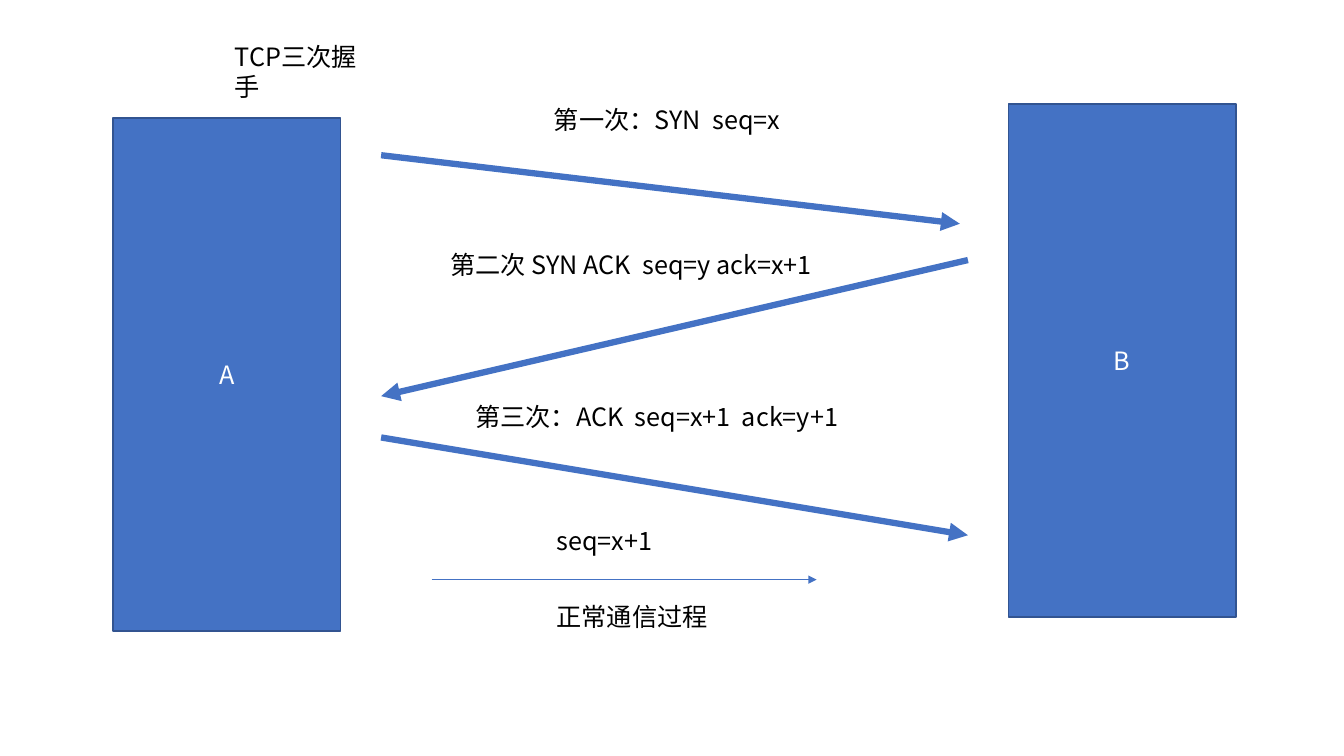
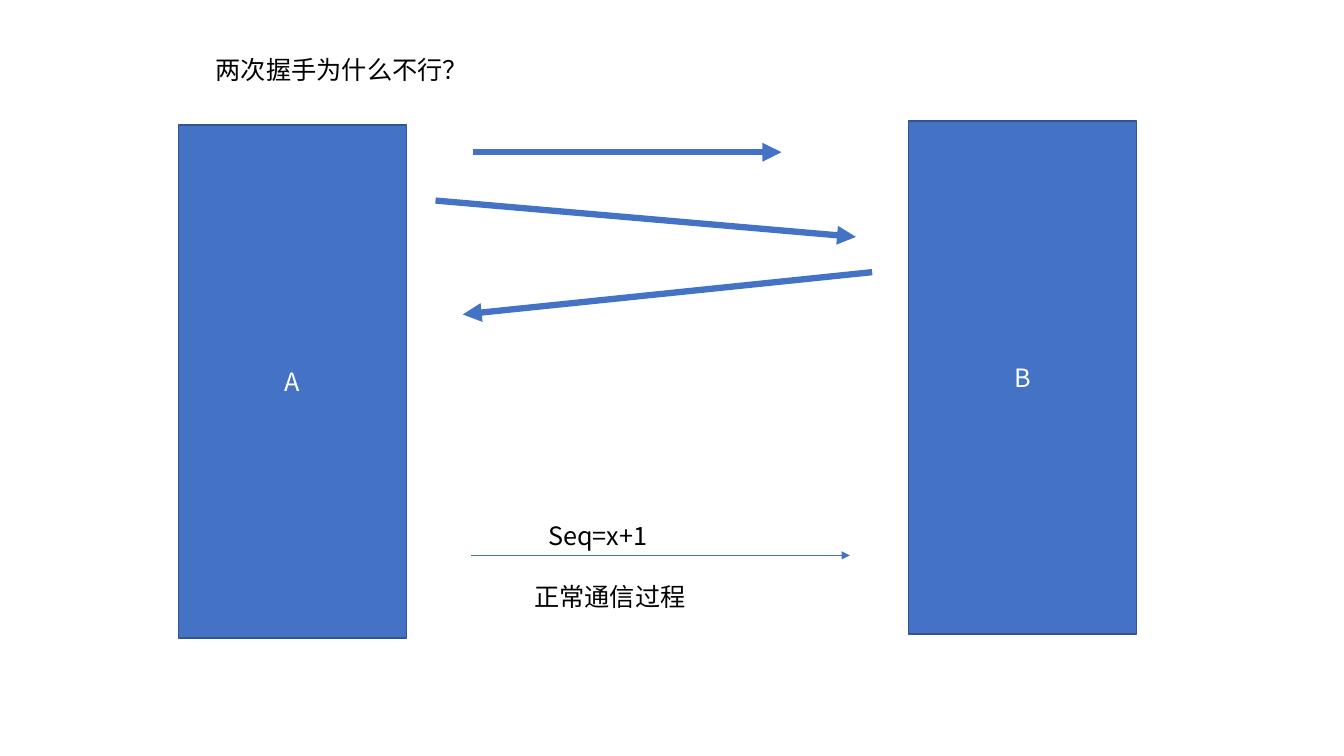
from lxml import etree
from pptx import Presentation
from pptx.dml.color import RGBColor
from pptx.enum.shapes import MSO_CONNECTOR, MSO_SHAPE
from pptx.enum.text import MSO_ANCHOR, MSO_AUTO_SIZE, PP_ALIGN
from pptx.oxml.ns import qn
from pptx.util import Inches, Pt

BLUE = RGBColor(0x44, 0x72, 0xC4)
EDGE = RGBColor(0x32, 0x54, 0x91)
WHITE = RGBColor(0xFF, 0xFF, 0xFF)
BLACK = RGBColor(0x00, 0x00, 0x00)
FONT = "Noto Sans CJK SC"
TEXT_SIZE = Pt(18)
HOST_WIDTH, HOST_HEIGHT = 2.26, 5.09
LABEL_HEIGHT = 0.4
THICK, THIN = 4.5, 0.5
TITLE_ONLY = 5
RECTANGLE = MSO_SHAPE.RECTANGLE
STRAIGHT = MSO_CONNECTOR.STRAIGHT
LEFT, CENTER = PP_ALIGN.LEFT, PP_ALIGN.CENTER
TOP, MIDDLE = MSO_ANCHOR.TOP, MSO_ANCHOR.MIDDLE
GROW = MSO_AUTO_SIZE.SHAPE_TO_FIT_TEXT


class HandshakeDeck:
    def __init__(self):
        self.presentation = Presentation()
        self.presentation.slide_width = Inches(13.33)
        self.presentation.slide_height = Inches(7.5)
        self.slide = None

    def set_text(self, shape, text, color=BLACK, align=LEFT, anchor=TOP):
        frame = shape.text_frame
        frame.text = text
        frame.word_wrap = True
        frame.vertical_anchor = anchor
        paragraph = frame.paragraphs[0]
        paragraph.alignment = align
        for run in paragraph.runs:
            run.font.name = FONT
            run.font.size = TEXT_SIZE
            run.font.color.rgb = color
            east_asian = etree.Element(qn("a:ea"), typeface=FONT)
            run.font._element.find(qn("a:latin")).addnext(east_asian)

    def new_slide(self, title, left, top, width):
        layout = self.presentation.slide_layouts[TITLE_ONLY]
        self.slide = self.presentation.slides.add_slide(layout)
        heading = self.slide.shapes.title
        heading.left, heading.top = Inches(left), Inches(top)
        heading.width, heading.height = Inches(width), Inches(LABEL_HEIGHT)
        self.set_text(heading, title)
        heading.text_frame.auto_size = GROW

    def host(self, name, left, top):
        box = self.slide.shapes.add_shape(
            RECTANGLE, Inches(left), Inches(top), Inches(HOST_WIDTH), Inches(HOST_HEIGHT))
        box.shadow.inherit = False
        box.fill.solid()
        box.fill.fore_color.rgb = BLUE
        box.line.color.rgb = EDGE
        box.line.width = Pt(1)
        self.set_text(box, name, WHITE, CENTER, MIDDLE)

    def label(self, text, left, top, width):
        box = self.slide.shapes.add_textbox(
            Inches(left), Inches(top), Inches(width), Inches(LABEL_HEIGHT))
        self.set_text(box, text)
        box.text_frame.auto_size = GROW

    def arrow(self, start, end, weight=THICK):
        points = [Inches(value) for value in (*start, *end)]
        connector = self.slide.shapes.add_connector(STRAIGHT, *points)
        connector.line.color.rgb = BLUE
        connector.line.width = Pt(weight)
        outline = connector.line._get_or_add_ln()
        etree.SubElement(outline, qn("a:tailEnd"), type="triangle")
        etree.SubElement(connector._element.spPr, qn("a:effectLst"))


deck = HandshakeDeck()

deck.new_slide("TCP三次握手", 2.23, 0.36, 1.64)
deck.host("A", 1.12, 1.17)
deck.host("B", 10, 1.03)
deck.arrow((3.78, 1.54), (9.52, 2.22))
deck.label(" 第一次：SYN  seq=x", 5.34, 0.99, 2.53)
deck.arrow((9.6, 2.58), (3.78, 3.93))
deck.label("第二次 SYN ACK  seq=y ack=x+1", 4.37, 2.42, 3.82)
deck.arrow((3.78, 4.34), (9.6, 5.31))
deck.label(" 第三次：ACK  seq=x+1  ack=y+1", 4.56, 3.93, 4.08)
deck.arrow((4.28, 5.75), (8.1, 5.75), THIN)
deck.label("seq=x+1", 5.42, 5.16, 1.16)
deck.label("正常通信过程", 5.42, 5.92, 1.72)

deck.new_slide("两次握手为什么不行？", 2.04, 0.49, 2.73)
deck.host("A", 1.77, 1.24)
deck.host("B", 9.01, 1.2)
deck.arrow((4.69, 1.51), (7.75, 1.51))
deck.arrow((4.32, 1.99), (8.49, 2.35))
deck.arrow((8.65, 2.7), (4.59, 3.12))
deck.arrow((4.67, 5.51), (8.43, 5.51), THIN)
deck.label("Seq=x+1", 5.34, 5.11, 1.19)
deck.label("正常通信过程", 5.2, 5.72, 1.72)

deck.presentation.save("out.pptx")
